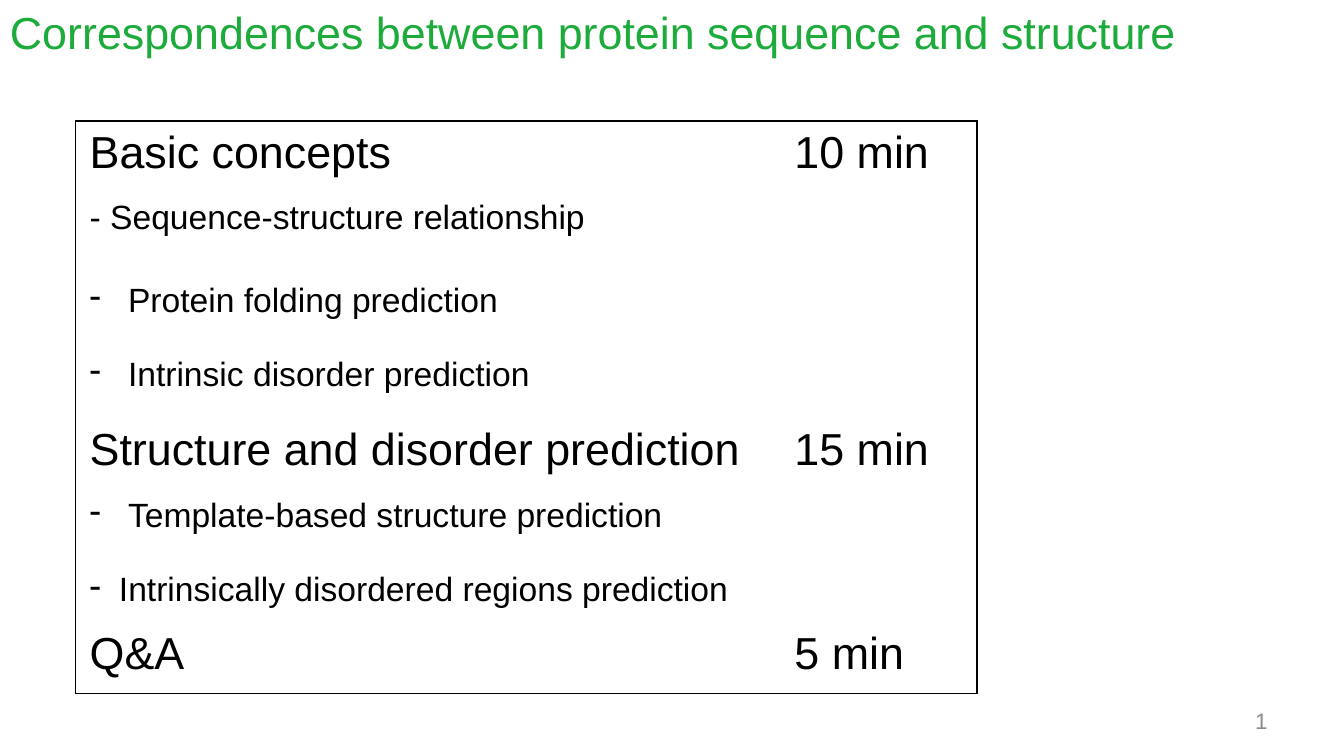
from lxml import etree
from pptx import Presentation
from pptx.dml.color import RGBColor
from pptx.enum.text import MSO_ANCHOR, PP_ALIGN
from pptx.oxml.ns import qn
from pptx.util import Inches, Pt

GREEN, BLACK, GRAY = "1DAB3B", "000000", "8C8C8C"
HEADING, ITEM = 32, 24


def color(hex_value):
    return RGBColor.from_string(hex_value)


def set_values(target, values):
    for name, value in values.items():
        setattr(target, name, value)


def hang_dash(paragraph, indent):
    """Give the paragraph a dash bullet with a hanging indent in inches."""
    properties = paragraph._p.get_or_add_pPr()
    properties.set("marL", str(Inches(indent)))
    properties.set("indent", str(-Inches(indent)))
    etree.SubElement(properties, qn("a:buFontTx"))
    etree.SubElement(properties, qn("a:buChar"), char="-")


def draw_border(cell, sides):
    """Draw a black line on the given sides (L, R, T, B) and clear the others."""
    properties = cell._tc.get_or_add_tcPr()
    for side in "LRTB":
        line = etree.SubElement(properties, qn(f"a:ln{side}"), w=str(Pt(1)))
        if side in sides:
            fill = etree.SubElement(line, qn("a:solidFill"))
            etree.SubElement(fill, qn("a:srgbClr"), val=BLACK)
        else:
            etree.SubElement(line, qn("a:noFill"))


class AgendaSlide:
    def __init__(self, slide, font="Arial"):
        self.slide = slide
        self.font = font

    def add_words(self, paragraph, words, size, ink=BLACK):
        paragraph.add_run().text = words
        set_values(paragraph.font, {"name": self.font, "size": Pt(size)})
        run_font = paragraph.runs[0].font
        set_values(run_font, {"name": self.font, "size": Pt(size)})
        run_font.color.rgb = color(ink)

    def text(self, box, words, size, ink, anchor=MSO_ANCHOR.TOP, align=PP_ALIGN.LEFT):
        frame = self.slide.shapes.add_textbox(*map(Inches, box)).text_frame
        set_values(frame, {"word_wrap": True, "vertical_anchor": anchor})
        frame.paragraphs[0].alignment = align
        self.add_words(frame.paragraphs[0], words, size, ink)

    def fill_cell(self, cell, lines, size, indent):
        set_values(cell, {
            "margin_left": Inches(0.14), "margin_right": Inches(0.13),
            "margin_top": Inches(0.07), "margin_bottom": Inches(0.07),
        })
        frame = cell.text_frame
        for index, line in enumerate(lines):
            paragraph = frame.add_paragraph() if index else frame.paragraphs[0]
            if index:
                paragraph.space_before = Pt(26)
            if indent:
                hang_dash(paragraph, indent)
            self.add_words(paragraph, line, size)

    def agenda(self, left, top, widths, rows):
        """Each row holds height, text size, bullet indent, topics and duration."""
        heights = [row[0] for row in rows]
        box = left, top, sum(widths), sum(heights)
        table = self.slide.shapes.add_table(
            len(rows), len(widths), *map(Inches, box)).table
        set_values(table, {"first_row": False, "horz_banding": False})
        for column, width in zip(table.columns, widths):
            column.width = Inches(width)
        for number, (height, size, indent, topics, duration) in enumerate(rows):
            table.rows[number].height = Inches(height)
            edges = {0: "T", len(rows) - 1: "B"}.get(number, "")
            topic_cell, time_cell = table.rows[number].cells
            self.fill_cell(topic_cell, topics, size, indent)
            self.fill_cell(time_cell, [duration] if duration else [], size, 0)
            for cell, side in ((topic_cell, "L"), (time_cell, "R")):
                draw_border(cell, side + edges)
                cell.fill.background()


def main():
    presentation = Presentation()
    set_values(presentation, {"slide_width": Inches(13.33), "slide_height": Inches(7.5)})
    page = AgendaSlide(presentation.slides.add_slide(presentation.slide_layouts[6]))
    page.agenda(0.75, 1.2, [6.99, 1.95], [
        (0.71, HEADING, 0, ["Basic concepts"], "10 min"),
        (0.82, ITEM, 0, ["- Sequence-structure relationship"], ""),
        (1.42, ITEM, 0.38,
         ["Protein folding prediction", "Intrinsic disorder prediction"], ""),
        (0.71, HEADING, 0, ["Structure and disorder prediction"], "15 min"),
        (0.74, ITEM, 0.38, ["Template-based structure prediction"], ""),
        (0.57, ITEM, 0.29, ["Intrinsically disordered regions prediction"], ""),
        (0.71, HEADING, 0, ["Q&A"], "5 min"),
    ])
    page.text((9.56, 6.95, 3.11, 0.4), "1", 16, GRAY, MSO_ANCHOR.MIDDLE, PP_ALIGN.RIGHT)
    page.text((0, 0, 13.33, 1.25),
              "Correspondences between protein sequence and structure", HEADING, GREEN)
    presentation.save("out.pptx")


if __name__ == "__main__":
    main()
